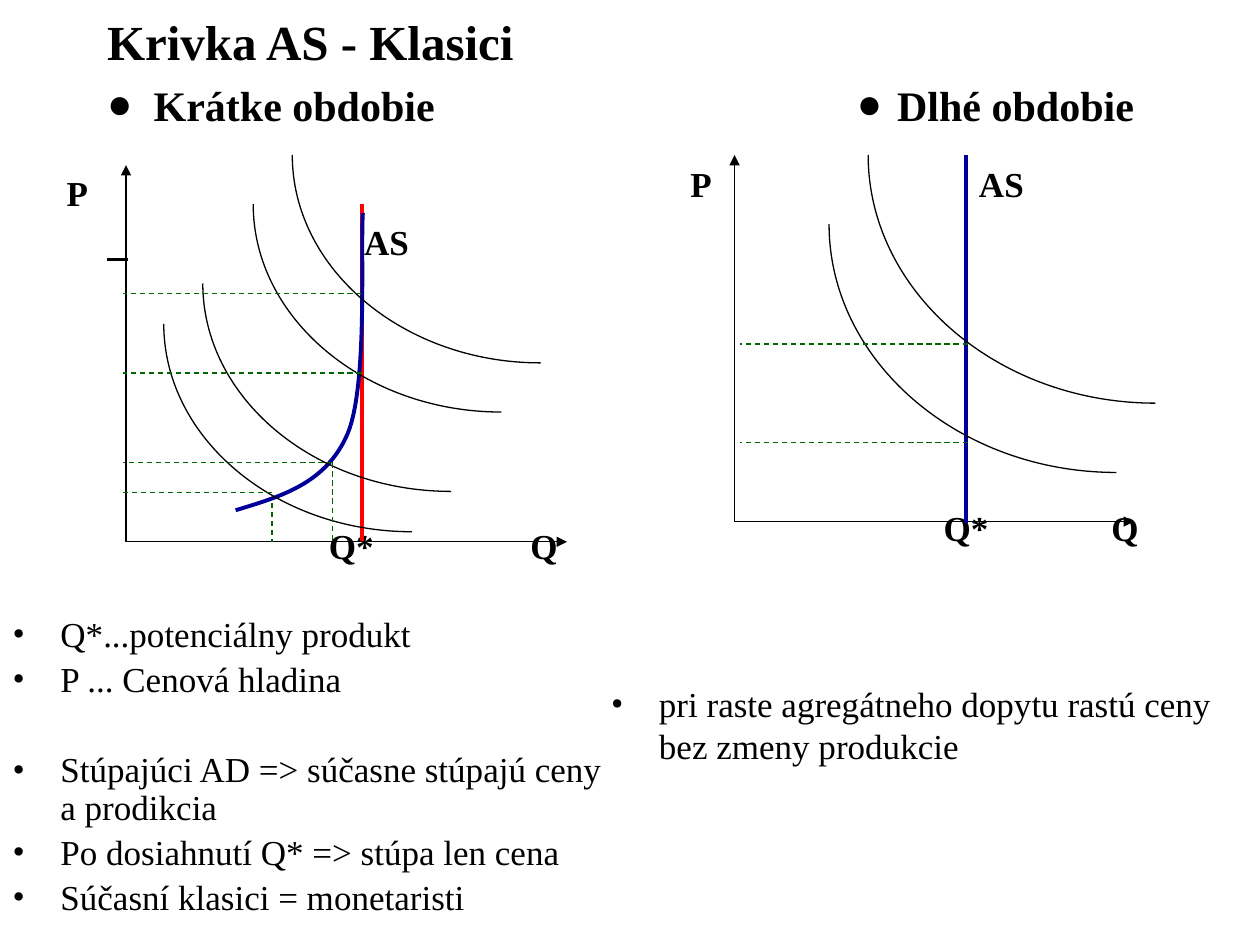
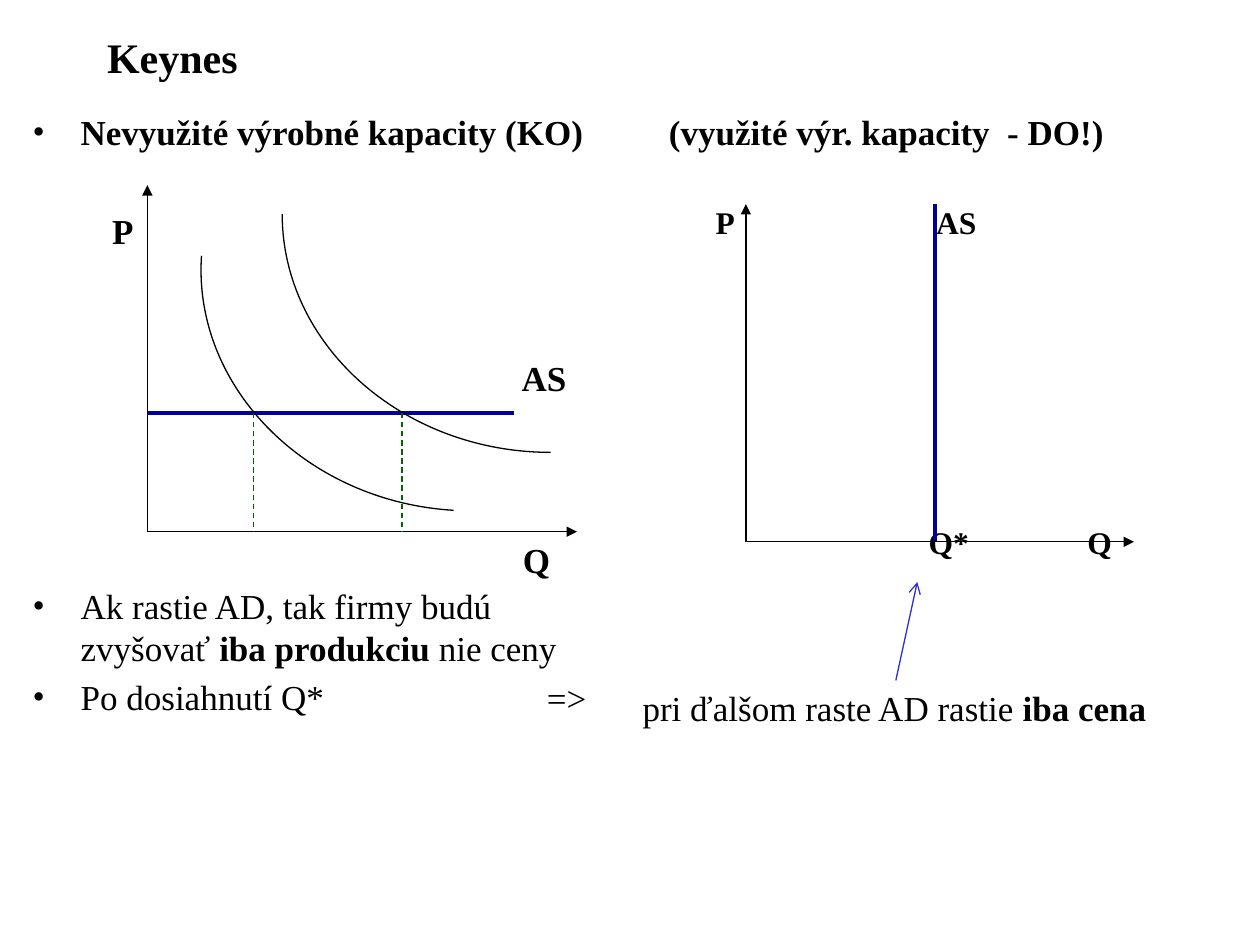
from dataclasses import dataclass

from lxml import etree
from pptx import Presentation
from pptx import util as u
from pptx.dml.color import RGBColor
from pptx.enum import dml, shapes
from pptx.oxml.ns import qn


@dataclass(frozen=True)
class Theme:
    font: str = "Times New Roman"
    ink: str = "000000"
    supply: str = "000099"
    potential: str = "FF0000"
    guide: str = "006600"
    pointer: str = "2E2ECB"
    title: int = 28
    heading: int = 24
    body: int = 20
    small: int = 18
    thin: float = 0.75
    medium: float = 1.25
    thick: float = 2.25
    indent: float = 0.38
    gap: float = 4


T = Theme()

CLASSICS = dict(
    texts=[
        ("Krivka AS - Klasici", 0.85, 0.09, T.title),
        ("P", 0.53, 1.36, T.body),
        ("AS", 2.89, 1.75, T.body),
        ("Q*", 2.61, 4.16, T.body),
        ("Q", 4.21, 4.16, T.body),
        ("P", 5.48, 1.29, T.body),
        ("AS", 7.77, 1.29, T.body),
        ("Q*", 7.49, 4.02, T.body),
        ("Q", 8.82, 4.02, T.body),
    ],
    lists=[
        dict(at=(0.85, 0.63, 3.5), size=T.heading, bullet="●", indent=0.37,
             items=[[("Krátke obdobie", True)]]),
        dict(at=(6.8, 0.63, 3), size=T.heading, bullet="●", indent=0.32,
             items=[[("Dlhé obdobie", True)]]),
        dict(at=(0.1, 4.9, 4.8), spacing=0.9, breaks={2: 30},
             items=[[("Q*...potenciálny produkt", False)],
                    [("P ... Cenová hladina", False)],
                    [("Stúpajúci AD => súčasne stúpajú ceny a prodikcia", False)],
                    [("Po dosiahnutí Q* => stúpa len cena", False)],
                    [("Súčasní klasici = monetaristi", False)]]),
        dict(at=(4.85, 5.42, 5.05),
             items=[[("pri raste agregátneho dopytu rastú ceny bez zmeny produkcie", False)]]),
    ],
    axes=[(1, 4.3, 4.5, 1.31), (5.83, 4.14, 9, 1.23)],
    lines=[
        ((0.85, 2.06), (1.02, 2.06), T.ink, T.medium),
        ((2.87, 4.29), (2.87, 1.62), T.potential, T.thick),
        ((7.67, 4.15), (7.67, 1.23), T.supply, T.thick),
    ],
    supply_curve=[(1.87, 4.05), (2.23, 3.94), (2.59, 3.84), (2.76, 3.44),
                  (2.92, 3.05), (2.86, 1.98), (2.88, 1.69)],
    demand=[(1.3, 2.57, 1.97, 1.65), (1.61, 2.25, 1.97, 1.65),
            (2.01, 1.62, 1.97, 1.65), (2.32, 1.23, 1.97, 1.65),
            (6.58, 1.78, 2.28, 1.97), (6.89, 1.23, 2.28, 1.97)],
    guides=[((2.16, 3.99), (2.16, 4.3)), ((2.64, 3.67), (2.64, 4.3))]
    + [((x, y), (0.98, y)) for x, y in
       [(2.16, 3.91), (2.64, 3.67), (2.87, 2.96), (2.87, 2.33)]]
    + [((7.68, y), (5.87, y)) for y in (3.51, 2.73)],
)

KEYNES = dict(
    texts=[
        ("Keynes", 0.85, 0.25, T.heading),
        ("(využité výr. kapacity  - DO!)", 5.31, 0.88, T.body),
        ("P", 0.89, 1.66, T.body),
        ("AS", 4.14, 2.83, T.body),
        ("Q", 4.15, 4.27, T.body),
        ("P", 5.68, 1.61, T.small),
        ("AS", 7.43, 1.61, T.small),
        ("Q*", 7.37, 4.15, T.small),
        ("Q", 8.63, 4.15, T.small),
    ],
    lists=[
        dict(at=(0.26, 0.88, 4.6),
             items=[[("Nevyužité výrobné kapacity (KO)", True)]]),
        dict(at=(0.26, 4.64, 4.55),
             items=[[("Ak rastie AD, tak firmy budú zvyšovať ", False),
                     ("iba produkciu ", True), ("nie ceny", False)],
                    [("Po dosiahnutí Q*", False)]]),
        dict(at=(4.34, 5.37, 0.5), bullet=None, items=[[("=>", False)]]),
        dict(at=(5.1, 5.45, 4.3), bullet=None,
             items=[[("pri ďalšom raste AD rastie ", False), ("iba cena", True)]]),
    ],
    axes=[(1.17, 4.22, 4.58, 1.47), (5.92, 4.3, 9, 1.62)],
    lines=[
        ((1.17, 3.28), (4.08, 3.28), T.supply, T.thick),
        ((7.42, 1.62), (7.42, 4.29), T.supply, T.thick),
        ((7.11, 5.4), (7.28, 4.62), T.pointer, T.thin, "arrow"),
    ],
    tilted_demand=[(3.6, 4.05), (2.43, 3.98), (1.53, 3.07), (1.6, 2.03)],
    demand=[(2.24, 1.7, 2.13, 1.89)],
    guides=[((x, 3.28), (x, 4.22)) for x in (2.01, 3.19)],
)


def text_frame(s, left, top, width, height):
    box = s.shapes.add_textbox(*map(u.Inches, (left, top, width, height)))
    tf = box.text_frame
    tf.margin_left = tf.margin_right = tf.margin_top = tf.margin_bottom = 0
    return tf


def add_run(p, words, size, bold):
    r = p.add_run()
    r.text = words
    r.font.name, r.font.size, r.font.bold = T.font, u.Pt(size), bold
    r.font.color.rgb = RGBColor.from_string(T.ink)


def add_label(s, words, left, top, size):
    tf = text_frame(s, left, top, len(words) * size / 100, size / 60)
    tf.word_wrap = False
    add_run(tf.paragraphs[0], words, size, True)


def add_bullet(p, char, indent):
    pPr = p._p.get_or_add_pPr()
    pPr.set("marL", str(u.Inches(indent)))
    pPr.set("indent", str(-u.Inches(indent)))
    etree.SubElement(pPr, qn("a:buFont")).set("typeface", T.font)
    etree.SubElement(pPr, qn("a:buChar")).set("char", char)


def add_list(s, at, items, size=T.body, bullet="•", indent=T.indent,
             spacing=1.0, breaks={}):
    tf = text_frame(s, *at, len(items) * size / 60)
    tf.word_wrap = True
    for i, runs in enumerate(items):
        p = tf.paragraphs[0] if i == 0 else tf.add_paragraph()
        p.line_spacing = spacing
        p.space_before = u.Pt(breaks.get(i, T.gap) if i else 0)
        if bullet:
            add_bullet(p, bullet, indent)
        for words, bold in runs:
            add_run(p, words, size, bold)


def style_line(line, color, width):
    line.color.rgb = RGBColor.from_string(color)
    line.width = u.Pt(width)


def add_line(s, start, end, color=T.ink, width=T.thin, head=None, dashed=False):
    c = s.shapes.add_connector(shapes.MSO_CONNECTOR.STRAIGHT,
                               *map(u.Inches, start + end))
    style_line(c.line, color, width)
    if dashed:
        c.line.dash_style = dml.MSO_LINE.DASH
    if head:
        etree.SubElement(c.line._get_or_add_ln(), qn("a:tailEnd")).set("type", head)
    etree.SubElement(c._element.spPr, qn("a:effectLst"))


def add_curve(s, controls, color=T.ink, width=T.thin):
    pts = [(u.Inches(x), u.Inches(y)) for x, y in controls]
    fb = s.shapes.build_freeform(*pts[0])
    fb.add_line_segments(pts[1:], close=False)
    sp = fb.convert_to_shape()
    segments = list(sp._element.iter(qn("a:lnTo")))
    outline = segments[0].getparent()
    for i in range(0, len(segments), 3):
        cubic = etree.SubElement(outline, qn("a:cubicBezTo"))
        for segment in segments[i:i + 3]:
            cubic.append(segment[0])
            outline.remove(segment)
    sp.shadow.inherit = False
    sp.fill.background()
    style_line(sp.line, color, width)


def quarter_ellipse(left, top, w, h):
    k = 0.45
    return [(left + w, top + h), (left + k * w, top + h),
            (left, top + (1 - k) * h), (left, top)]


def build_slide(prs, content):
    s = prs.slides.add_slide(prs.slide_layouts[6])
    for label in content["texts"]:
        add_label(s, *label)
    for block in content["lists"]:
        add_list(s, **block)
    for x, y, right, top in content["axes"]:
        add_line(s, (x, y), (right, y), head="triangle")
        add_line(s, (x, y), (x, top), head="triangle")
    for line in content["lines"]:
        add_line(s, *line)
    if "supply_curve" in content:
        add_curve(s, content["supply_curve"], T.supply, T.thick)
    if "tilted_demand" in content:
        add_curve(s, content["tilted_demand"])
    for box in content["demand"]:
        add_curve(s, quarter_ellipse(*box))
    for start, end in content["guides"]:
        add_line(s, start, end, T.guide, dashed=True)


def main():
    prs = Presentation()
    prs.slide_width, prs.slide_height = u.Inches(10), u.Inches(7.5)
    for content in (CLASSICS, KEYNES):
        build_slide(prs, content)
    prs.save("out.pptx")


if __name__ == "__main__":
    main()
